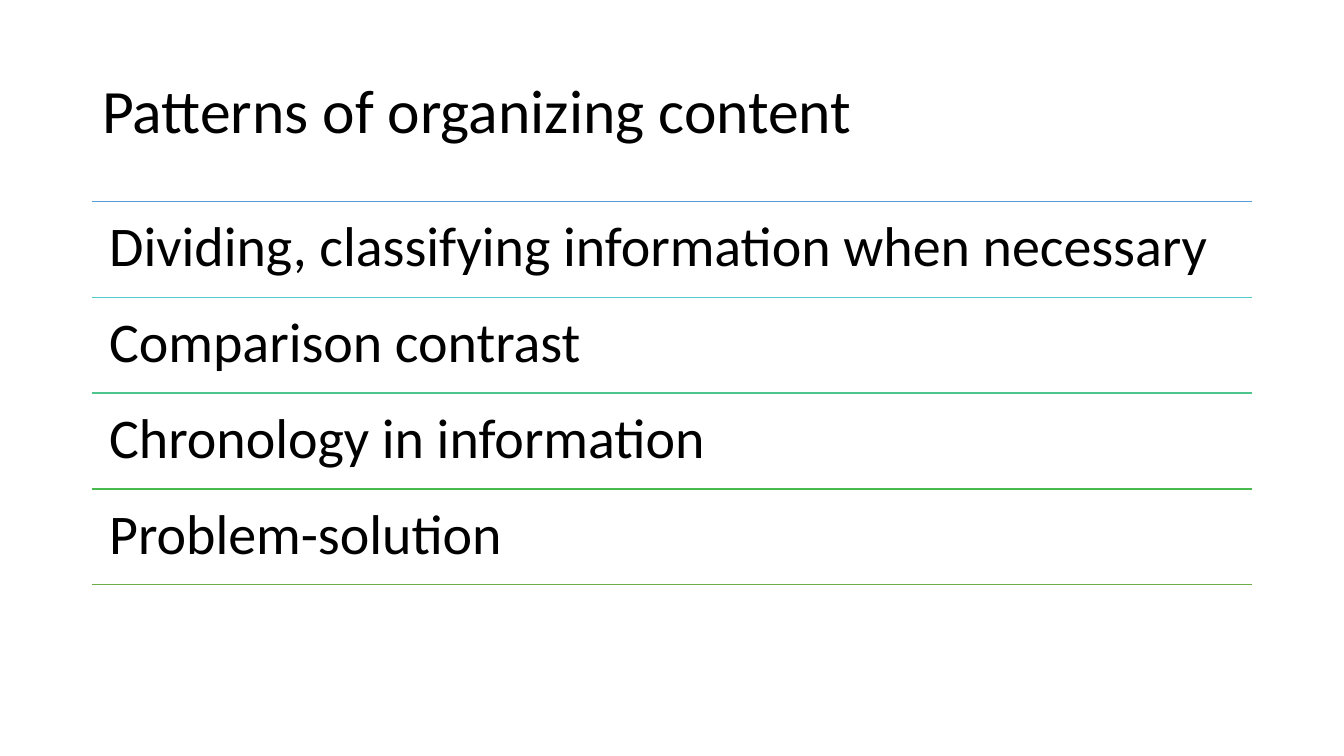
from lxml.etree import SubElement
from pptx import Presentation
from pptx.dml.color import RGBColor
from pptx.enum.shapes import MSO_CONNECTOR
from pptx.enum.text import MSO_ANCHOR, MSO_AUTO_SIZE, PP_ALIGN
from pptx.oxml.ns import qn
from pptx.util import Pt

BLACK = RGBColor(0x00, 0x00, 0x00)
BLUE = RGBColor(0x5B, 0x9B, 0xD5)
TURQUOISE = RGBColor(0x54, 0xCC, 0xCD)
MINT = RGBColor(0x4D, 0xC5, 0x8D)
GREEN = RGBColor(0x48, 0xBB, 0x4F)
OLIVE = RGBColor(0x70, 0xAD, 0x47)

LEFT, WIDTH = 66, 828
LIST_TOP, ROW_HEIGHT = 144, 68.4
PATTERNS = [
    "Dividing, classifying information when necessary",
    "Comparison contrast",
    "Chronology in information",
    "Problem-solution",
]
RULE_COLORS = [BLUE, TURQUOISE, MINT, GREEN, OLIVE]


def write_text(box, text, *, size, anchor, inset_x, inset_y):
    frame = box.text_frame
    frame.word_wrap = True
    frame.auto_size = MSO_AUTO_SIZE.NONE
    frame.vertical_anchor = anchor
    frame.margin_left = frame.margin_right = Pt(inset_x)
    frame.margin_top = frame.margin_bottom = Pt(inset_y)
    para = frame.paragraphs[0]
    para.alignment = PP_ALIGN.LEFT
    para.line_spacing = 0.9
    para.space_before = Pt(0)
    span = para.add_run()
    span.text = text
    span.font.name = "Calibri"
    span.font.size = Pt(size)
    span.font.color.rgb = BLACK


deck = Presentation()
deck.slide_width, deck.slide_height = Pt(960), Pt(540)
page = deck.slides.add_slide(deck.slide_layouts.get_by_name("Title Only"))

title = page.shapes.title
title.left, title.top = Pt(LEFT), Pt(28.8)
title.width, title.height = Pt(WIDTH), Pt(104.4)
write_text(title, "Patterns of organizing content", size=44,
           anchor=MSO_ANCHOR.MIDDLE, inset_x=7.2, inset_y=3.6)

for index, color in enumerate(RULE_COLORS):
    y = Pt(LIST_TOP + index * ROW_HEIGHT)
    rule = page.shapes.add_connector(
        MSO_CONNECTOR.STRAIGHT, Pt(LEFT), y, Pt(LEFT + WIDTH), y)
    rule.line.color.rgb = color
    rule.line.width = Pt(1)
    SubElement(rule._element.spPr, qn("a:effectLst"))

for index, pattern in enumerate(PATTERNS):
    row = page.shapes.add_textbox(
        Pt(LEFT), Pt(LIST_TOP + index * ROW_HEIGHT), Pt(WIDTH), Pt(ROW_HEIGHT))
    write_text(row, pattern, size=40,
               anchor=MSO_ANCHOR.TOP, inset_x=12, inset_y=12)

deck.save("out.pptx")
